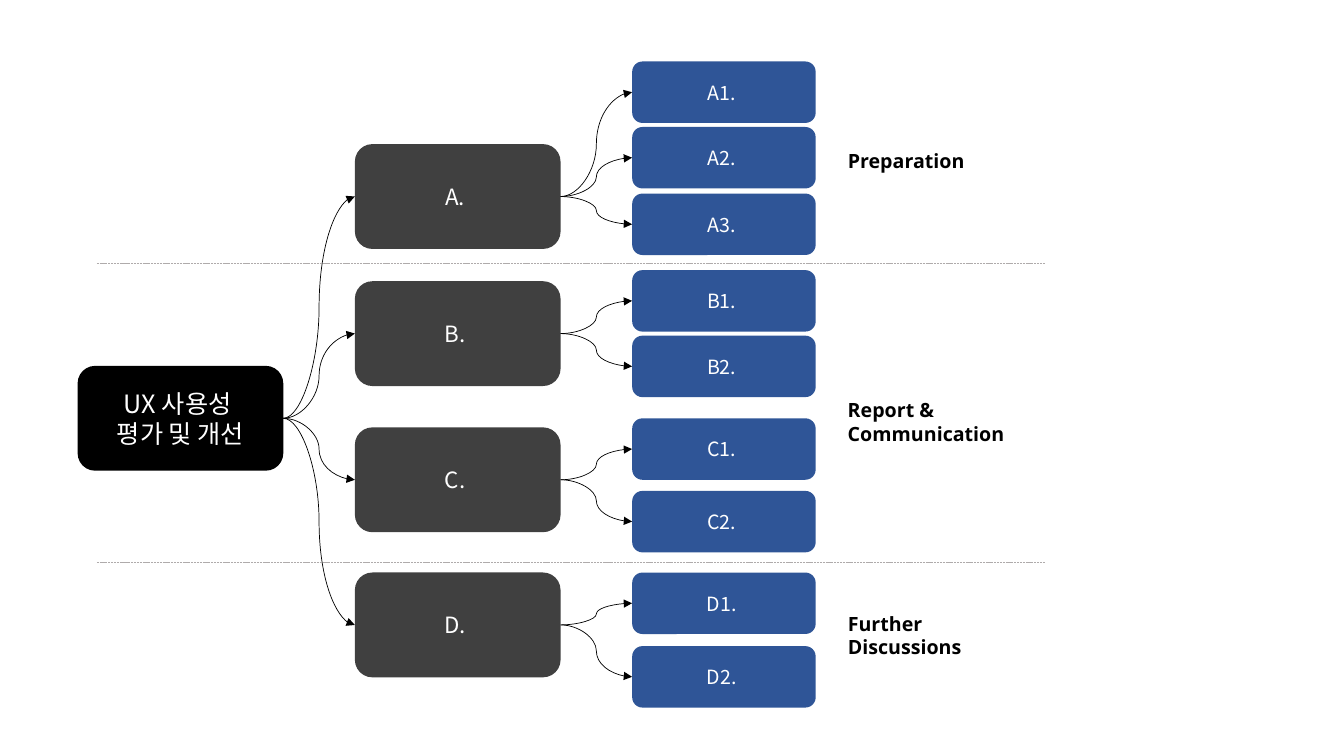
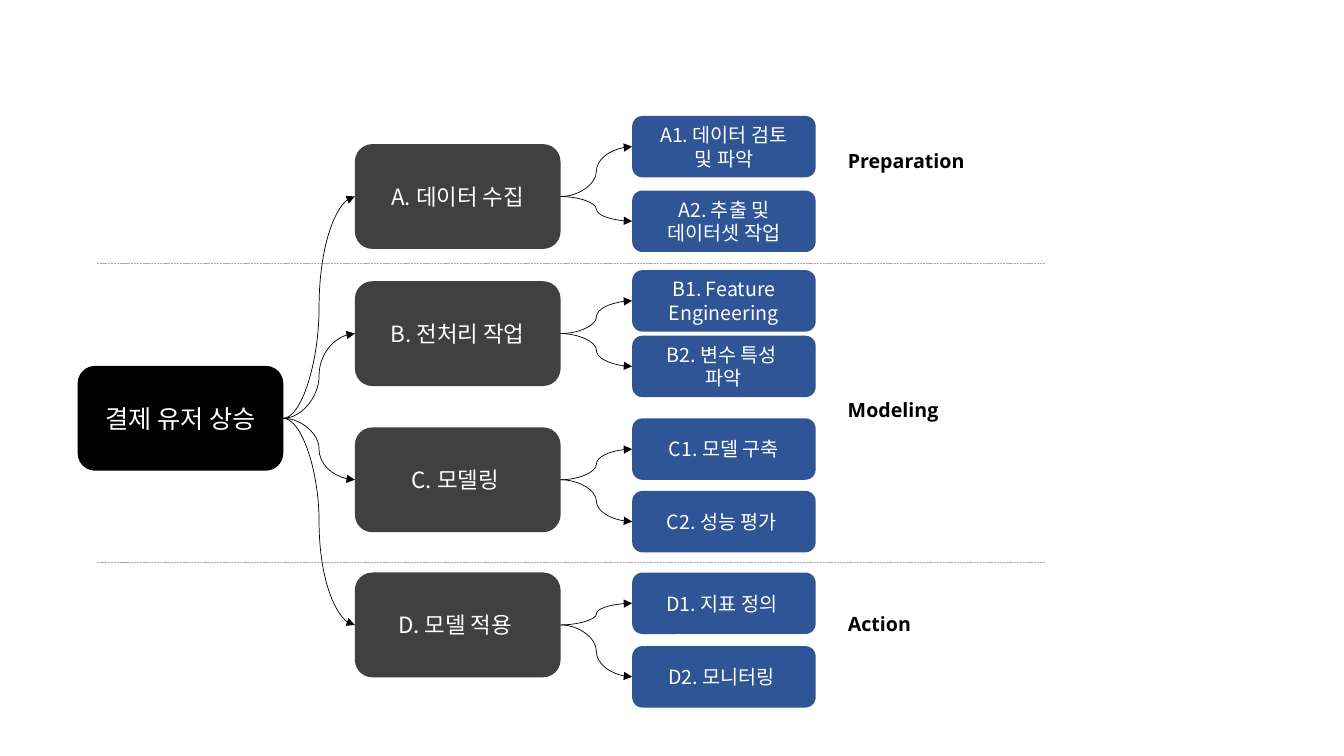
from lxml import etree
from pptx import Presentation
from pptx.dml.color import RGBColor
from pptx.enum.dml import MSO_LINE
from pptx.enum.shapes import MSO_CONNECTOR, MSO_SHAPE
from pptx.enum.text import MSO_ANCHOR, MSO_AUTO_SIZE, PP_ALIGN
from pptx.oxml.ns import qn
from pptx.util import Inches, Pt

ROUNDED = MSO_SHAPE.ROUNDED_RECTANGLE
CURVE, STRAIGHT = MSO_CONNECTOR.CURVE, MSO_CONNECTOR.STRAIGHT
DASH = MSO_LINE.SQUARE_DOT
MIDDLE, CENTER = MSO_ANCHOR.MIDDLE, PP_ALIGN.CENTER
FIT_SHAPE = MSO_AUTO_SIZE.SHAPE_TO_FIT_TEXT
LEFT_SITE, RIGHT_SITE = 1, 3

COLORS = {"root": "000000", "branch": "404040", "leaf": "2F5597",
          "light": "FFFFFF", "ink": "000000", "divider": "AFABAB"}

# Tree columns: left, width, height (inches) and text size
LEVELS = {"root": (0.77, 2.04, 1.04, 18),
          "branch": (3.52, 2.04, 1.04, 16),
          "leaf": (6.27, 1.82, 0.61, 14)}
ROOT_TOP = 3.63
BRANCH_TOPS = [1.43, 2.79, 4.24, 5.68]
LOWER_LEAF_TOPS = [[2.68, 3.33], [4.15, 4.87], [5.68, 6.41]]

# Phase labels and the dividers between them
LABEL_LEFT = 8.31
LABEL_SLOTS = [(1.43, 1.52), (3.9, 2.06), (6.02, 1.52)]  # top, width
LABEL_HEIGHTS = {1: 0.34, 2: 0.57}  # by number of lines
DIVIDER_LEFT, DIVIDER_RIGHT = 0.96, 10.37
DIVIDER_TOPS = [2.61, 5.58]

SLIDES = [
    {"root": "UX 사용성 \n평가 및 개선",
     "branches": [("A. ", ["A1. ", "A2. ", "A3. "]),
                  ("B. ", ["B1. ", "B2. "]),
                  ("C. ", ["C1. ", "C2. "]),
                  ("D. ", ["D1. ", "D2. "])],
     "first_leaf_tops": [0.61, 1.26, 1.92],
     "labels": [("Preparation", 1), ("Report & Communication", 2),
                ("Further\nDiscussions", 2)]},
    {"root": "결제 유저 상승",
     "branches": [("A. 데이터 수집", ["A1. 데이터 검토\n및 파악", "A2. 추출 및 데이터셋 작업"]),
                  ("B. 전처리 작업", ["B1. Feature Engineering", "B2. 변수 특성 \n파악"]),
                  ("C. 모델링 ", ["C1. 모델 구축", "C2. 성능 평가 "]),
                  ("D. 모델 적용 ", ["D1. 지표 정의 ", "D2. 모니터링 "])],
     "first_leaf_tops": [1.15, 1.89],
     "labels": [("Preparation", 1), ("Modeling", 1), ("Action", 1)]},
]


def add_box(slide, level, top, text):
    left, width, height, size = LEVELS[level]
    box = slide.shapes.add_shape(ROUNDED, Inches(left), Inches(top), Inches(width), Inches(height))
    box.shadow.inherit = False
    box.fill.solid()
    box.fill.fore_color.rgb = RGBColor.from_string(COLORS[level])
    box.line.fill.background()
    box.text_frame.text = text
    box.text_frame.vertical_anchor = MIDDLE
    for paragraph in box.text_frame.paragraphs:
        paragraph.alignment = CENTER
        for run in paragraph.runs:
            for name, value in {"size": Pt(size), "name": "Noto Sans CJK KR"}.items():
                setattr(run.font, name, value)
            run.font.color.rgb = RGBColor.from_string(COLORS["light"])
            # Hangul takes the East Asian typeface
            etree.SubElement(run.font._element, qn("a:ea"), typeface="Noto Sans CJK KR")
    return box


def add_line(slide, kind, color, ends=(0, 0, 0, 0)):
    line = slide.shapes.add_connector(kind, *[Inches(value) for value in ends])
    line.line.color.rgb = RGBColor.from_string(COLORS[color])
    line.line.width = Pt(0.5)
    etree.SubElement(line._element.spPr, qn("a:effectLst"))
    return line


presentation = Presentation()
presentation.slide_width = Inches(13.33)
presentation.slide_height = Inches(7.5)

for content in SLIDES:
    slide = presentation.slides.add_slide(presentation.slide_layouts[6])

    # Boxes of the tree, noting which pairs to join
    root = add_box(slide, "root", ROOT_TOP, content["root"])
    links = []
    leaf_rows = [content["first_leaf_tops"]] + LOWER_LEAF_TOPS
    for (text, leaves), top, leaf_tops in zip(content["branches"], BRANCH_TOPS, leaf_rows):
        branch = add_box(slide, "branch", top, text)
        links.append((root, branch))
        for leaf_text, leaf_top in zip(leaves, leaf_tops):
            links.append((branch, add_box(slide, "leaf", leaf_top, leaf_text)))

    # Curved arrows from parent to child
    for parent, child in links:
        arrow = add_line(slide, CURVE, "ink", (
            (parent.left + parent.width) / Inches(1), (parent.top + parent.height / 2) / Inches(1),
            child.left / Inches(1), (child.top + child.height / 2) / Inches(1)))
        arrow.begin_connect(parent, RIGHT_SITE)
        arrow.end_connect(child, LEFT_SITE)
        etree.SubElement(arrow._element.spPr.find(qn("a:ln")), qn("a:tailEnd"), type="triangle")

    # Dashed dividers
    for top in DIVIDER_TOPS:
        divider = add_line(slide, STRAIGHT, "divider", (DIVIDER_LEFT, top, DIVIDER_RIGHT, top))
        divider.line.dash_style = DASH

    # Phase labels
    for (text, lines), (top, width) in zip(content["labels"], LABEL_SLOTS):
        label = slide.shapes.add_textbox(Inches(LABEL_LEFT), Inches(top), Inches(width),
                                         Inches(LABEL_HEIGHTS[lines]))
        label.text_frame.word_wrap = True
        label.text_frame.auto_size = FIT_SHAPE
        label.text_frame.text = text
        for paragraph in label.text_frame.paragraphs:
            for name, value in {"size": Pt(14), "name": "Open Sans", "bold": True}.items():
                setattr(paragraph.runs[0].font, name, value)
            paragraph.runs[0].font.color.rgb = RGBColor.from_string(COLORS["ink"])

presentation.save("out.pptx")
